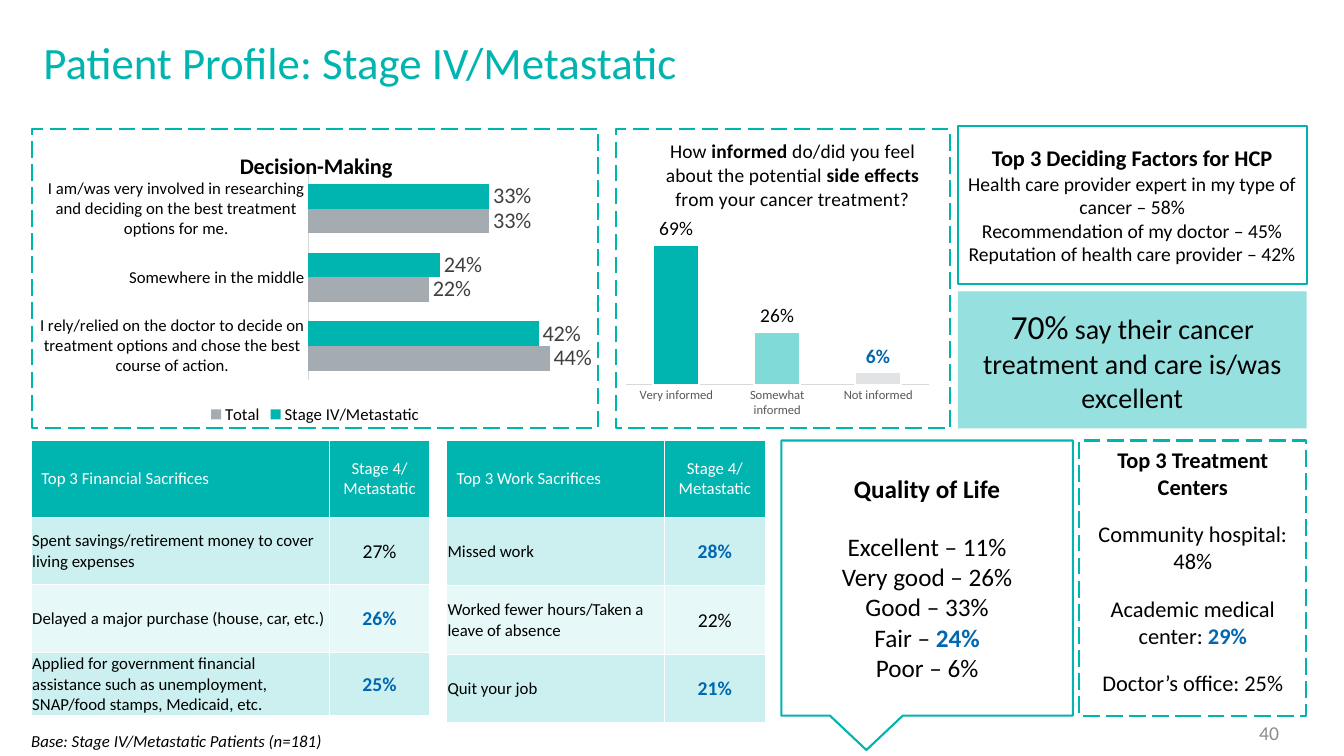
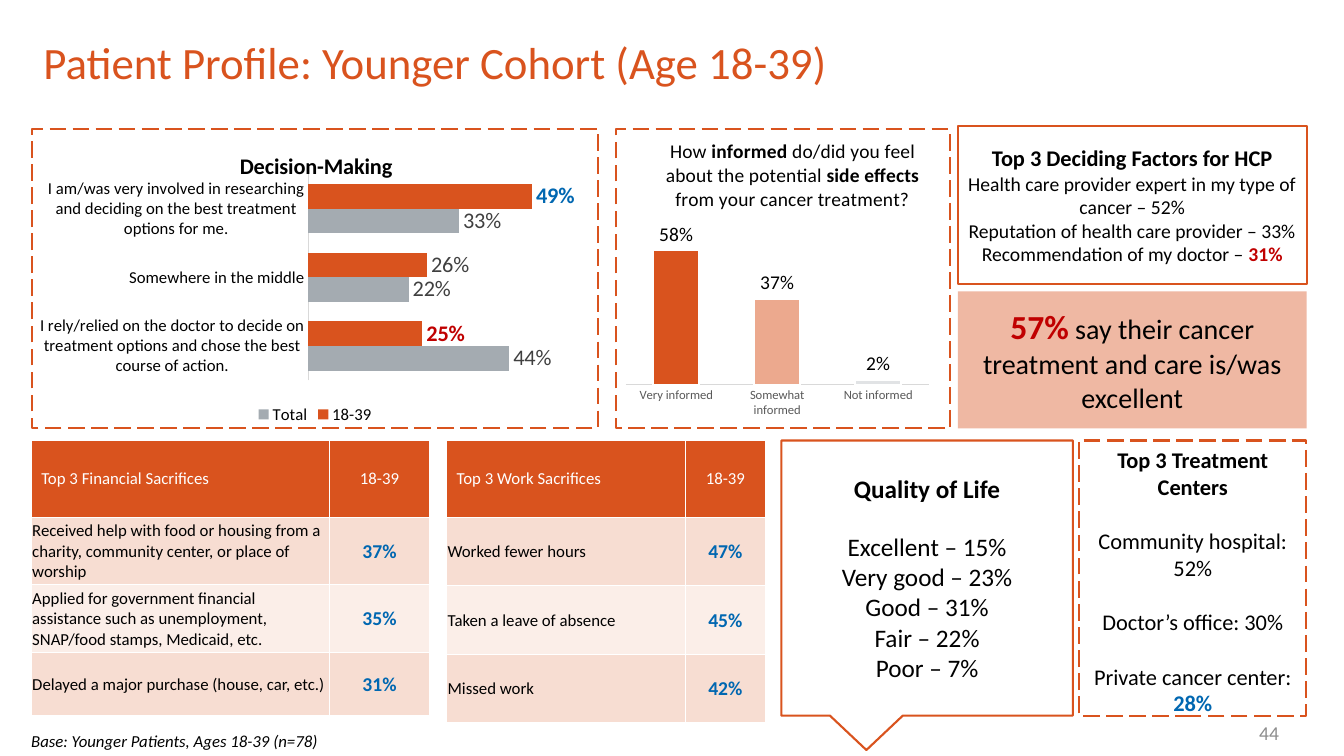
import pptx
import pptx.chart.data
import pptx.dml.color
import pptx.enum.chart
import pptx.enum.dml
import pptx.enum.shapes
import pptx.enum.text
import pptx.oxml
import pptx.oxml.ns
import pptx.util

Inches = pptx.util.Inches
Pt = pptx.util.Pt
RGB = pptx.dml.color.RGBColor
KIND = pptx.enum.chart.XL_CHART_TYPE
SHAPE = pptx.enum.shapes.MSO_SHAPE
ALIGN = pptx.enum.text.PP_ALIGN
ANCHOR = pptx.enum.text.MSO_ANCHOR
qn = pptx.oxml.ns.qn

FONT = "Calibri"
TEAL = RGB(0x00, 0xB4, 0xB0)
RUST = RGB(0xD9, 0x53, 0x1E)
BLUE = RGB(0x00, 0x67, 0xB1)
RED = RGB(0xC0, 0x00, 0x00)
BLACK = RGB(0x00, 0x00, 0x00)
WHITE = RGB(0xFF, 0xFF, 0xFF)
DARK = RGB(0x40, 0x40, 0x40)
SLATE = RGB(0x59, 0x59, 0x59)
MUTED = RGB(0x8C, 0x8C, 0x8C)
STEEL = RGB(0xA4, 0xAB, 0xB1)
RULE = RGB(0xD9, 0xD9, 0xD9)
PALE = RGB(0xE1, 0xE3, 0xE5)

BOLD = {"bold": True}
HIGH = {"bold": True, "color": BLUE}
LOW = {"bold": True, "color": RED}

ROLES = [
    "I am/was very involved in researching and deciding on the best treatment options for me.",
    "Somewhere in the middle",
    "I rely/relied on the doctor to decide on treatment options and chose the best course of action.",
]
LEVELS = ["Very informed", "Somewhat informed", "Not informed"]
ASKED = [["How ", ("informed", BOLD), " do/did you feel about the potential ",
          ("side effects", BOLD), " from your cancer treatment?"]]
TOTAL = [0.33, 0.22, 0.44]
AID = "Applied for government financial assistance such as unemployment, SNAP/food stamps, Medicaid, etc."
DELAY = "Delayed a major purchase (house, car, etc.)"

PAGES = [
    {
        "title": "Patient Profile: Stage IV/Metastatic", "number": "40", "color": TEAL,
        "base": "Base: Stage IV/Metastatic Patients (n=181)",
        "group": "Stage IV/Metastatic", "head": ["Stage 4/", "Metastatic"],
        "roles": [0.33, 0.24, 0.42], "role_marks": {}, "role_max": 0.5,
        "levels": [0.69, 0.26, 0.06], "level_marks": {2: HIGH}, "level_max": 0.8,
        "factors": ["Health care provider expert in my type of cancer – 58%",
                    "Recommendation of my doctor – 45%",
                    "Reputation of health care provider – 42%"],
        "rating": [("70%", {"size": 24}), " say their cancer treatment and care is/was excellent"],
        "money": [("Spent savings/retirement money to cover living expenses", "27%", {}),
                  (DELAY, "26%", HIGH), (AID, "25%", HIGH)],
        "work": [("Missed work", "28%", HIGH),
                 ("Worked fewer hours/Taken a leave of absence", "22%", {}),
                 ("Quit your job", "21%", HIGH)],
        "work_cols": [2.16, 1.0],
        "life": ["Excellent – 11%", "Very good – 26%", "Good – 33%",
                 ["Fair – ", ("24%", HIGH)], "Poor – 6%"],
        "centers": ["Community hospital: 48%",
                    ["Academic medical center: ", ("29%", HIGH)], "Doctor’s office: 25%"],
        "center_gap": 14.6,
    },
    {
        "title": "Patient Profile: Younger Cohort (Age 18-39)", "number": "44", "color": RUST,
        "base": "Base: Younger Patients, Ages 18-39 (n=78)",
        "group": "18-39", "head": ["18-39"],
        "roles": [0.49, 0.26, 0.25], "role_marks": {0: HIGH, 2: LOW}, "role_max": 0.6,
        "levels": [0.58, 0.37, 0.02], "level_marks": {}, "level_max": 0.7,
        "factors": ["Health care provider expert in my type of cancer – 52%",
                    "Reputation of health care provider – 33%",
                    ["Recommendation of my doctor – ", ("31%", LOW)]],
        "rating": [("57%", {**LOW, "size": 24}), " say their cancer treatment and care is/was excellent"],
        "money": [("Received help with food or housing from a charity, community center, or place of worship",
                   "37%", HIGH), (AID, "35%", HIGH), (DELAY, "31%", HIGH)],
        "work": [("Worked fewer hours", "47%", HIGH), ("Taken a leave of absence", "45%", HIGH),
                 ("Missed work", "42%", HIGH)],
        "work_cols": [2.37, 0.79],
        "life": ["Excellent – 15%", "Very good – 23%", "Good – 31%", "Fair – 22%", "Poor – 7%"],
        "centers": ["Community hospital: 52%", "Doctor’s office: 30%",
                    ["Private cancer center: ", ("28%", HIGH)]],
        "center_gap": 19.5,
    },
]


def box(*sides):
    return [Inches(side) for side in sides]


def tint(color, share):
    return RGB(*(round(255 - (255 - part) * share) for part in color))


def tone(font, size=12, color=BLACK, bold=False, italic=False):
    font.name, font.size = FONT, Pt(size)
    font.bold, font.italic = bold, italic
    font.color.rgb = color


def put(frame, paras, align=ALIGN.CENTER, anchor=None, pad=None, gaps=None, lead=None, **look):
    frame.word_wrap = True
    if anchor is not None:
        frame.vertical_anchor = anchor
    if pad is not None:
        frame.margin_left = frame.margin_right = frame.margin_top = frame.margin_bottom = Inches(pad)
    for i, runs in enumerate(paras):
        para = frame.paragraphs[0] if i == 0 else frame.add_paragraph()
        para.alignment = align
        if lead:
            para.line_spacing = lead
        if gaps and i in gaps:
            para.space_before = Pt(gaps[i])
        for part in [runs] if isinstance(runs, str) else runs:
            text, extra = (part, {}) if isinstance(part, str) else part
            run = para.add_run()
            run.text = text
            tone(run.font, **{**look, **extra})


def add_box(slide, kind, place, fill=None, line=None, dash=False):
    shape = slide.shapes.add_shape(kind, *box(*place))
    shape.shadow.inherit = False
    if fill is None:
        shape.fill.background()
    else:
        shape.fill.solid()
        shape.fill.fore_color.rgb = fill
    if line is None:
        shape.line.fill.background()
    else:
        shape.line.color.rgb = line
        shape.line.width = Pt(1.5)
    if dash:
        shape.line.dash_style = pptx.enum.dml.MSO_LINE.LONG_DASH
    return shape.text_frame


def add_text(slide, place, paras, **look):
    put(slide.shapes.add_textbox(*box(*place)).text_frame, paras, **look)


def add_grid(slide, left, cols, rows, name, head, items, color):
    grid = slide.shapes.add_table(len(rows), 2, *box(left, 4.37, sum(cols), sum(rows))).table
    for col, width in zip(grid.columns, cols):
        col.width = Inches(width)
    for row, height in zip(grid.rows, rows):
        row.height = Inches(height)
    lines = [([name], head, {"color": WHITE})]
    lines += [([text], [value], {"size": 14, **mark}) for text, value, mark in items]
    for r, (text, value, look) in enumerate(lines):
        for c, paras in enumerate((text, value)):
            cell = grid.cell(r, c)
            cell.fill.solid()
            cell.fill.fore_color.rgb = tint(color, 0.2 if r % 2 else 0.1) if r else color
            cell.vertical_anchor = ANCHOR.MIDDLE
            if r:
                cell.margin_left = cell.margin_right = cell.margin_top = Inches(0.01)
                cell.margin_bottom = 0
            put(cell.text_frame, paras, align=ALIGN.CENTER if c else ALIGN.LEFT,
                **(look if c or not r else {}))


def set_place(node, index, **sides):
    for old in node.findall(qn("c:layout")):
        node.remove(old)
    modes = {"xMode": "edge", "yMode": "edge", **sides}
    if "w" in sides:
        modes = {"layoutTarget": "inner", **modes}
    inner = "".join(f'<c:{key} val="{value}"/>' for key, value in modes.items())
    node.insert(index, pptx.oxml.parse_xml(
        f'<c:layout {pptx.oxml.ns.nsdecls("c")}><c:manualLayout>{inner}</c:manualLayout></c:layout>'))


def add_graph(slide, kind, place, cats, series, top, color, title, spot, area, label, axis, gap):
    data = pptx.chart.data.CategoryChartData(number_format="0%")
    data.categories = cats
    for name, values, *rest in series:
        data.add_series(name, values)
    chart = slide.shapes.add_chart(kind, *box(*place), data).chart
    tone(chart.font, size=10)
    chart.has_legend = False
    chart.has_title = True
    put(chart.chart_title.text_frame, title, **label["title"])
    set_place(chart.chart_title.element, 1, x=spot[0], y=spot[1])
    set_place(chart.element.find(".//" + qn("c:plotArea")), 0, **dict(zip("xywh", area)))
    chart.element.find(qn("c:chart")).addnext(pptx.oxml.parse_xml(
        f'<c:spPr {pptx.oxml.ns.nsdecls("c", "a")}><a:noFill/><a:ln w="19050"><a:solidFill>'
        f'<a:srgbClr val="{color}"/></a:solidFill><a:prstDash val="lgDash"/></a:ln></c:spPr>'))
    chart.value_axis.visible = False
    chart.value_axis.has_major_gridlines = False
    chart.value_axis.minimum_scale, chart.value_axis.maximum_scale = 0, top
    base = chart.category_axis
    base.major_tick_mark = pptx.enum.chart.XL_TICK_MARK.NONE
    base.format.line.color.rgb = RULE
    base.format.line.width = Pt(0.75)
    tone(base.tick_labels.font, **axis)
    plot = chart.plots[0]
    plot.gap_width, plot.vary_by_categories = gap, False
    outer = pptx.enum.chart.XL_LABEL_POSITION.OUTSIDE_END
    for bars, (name, values, shade, marks) in zip(plot.series, series):
        bars.format.fill.solid()
        bars.format.fill.fore_color.rgb = shade
        tags = bars.data_labels
        tags.show_value, tags.position = True, outer
        tags.number_format, tags.number_format_is_linked = "0%", False
        tone(tags.font, **label["value"])
        for i, mark in marks.items():
            tag = bars.points[i].data_label
            tone(tag.font, **{**label["value"], **mark})
            tag.position = outer
    return chart


def add_roles(slide, page):
    color = page["color"]
    chart = add_graph(
        slide, KIND.BAR_CLUSTERED, (0.31, 1.27, 5.63, 2.99), ROLES,
        [(page["group"], page["roles"], color, page["role_marks"]), ("Total", TOTAL, STEEL, {})],
        page["role_max"], color, ["Decision-Making"], (0.36, 0.06), (0.488, 0.151, 0.485, 0.689),
        {"title": {"size": 16, "bold": True}, "value": {"size": 16, "color": DARK}},
        {"size": 12}, 80)
    chart.category_axis.reverse_order = True
    chart.has_legend = True
    chart.legend.position = pptx.enum.chart.XL_LEGEND_POSITION.BOTTOM
    chart.legend.include_in_layout = False
    tone(chart.legend.font)


def add_levels(slide, page):
    color = page["color"]
    chart = add_graph(
        slide, KIND.COLUMN_CLUSTERED, (6.1, 1.27, 3.33, 2.99), LEVELS,
        [("Series 1", page["levels"], color, page["level_marks"])],
        page["level_max"], color, ASKED, (0.14, 0.02), (0.029, 0.312, 0.908, 0.542),
        {"title": {"size": 14}, "value": {"size": 14}}, {"size": 9, "color": SLATE}, 120)
    plot = chart.plots[0]
    plot.overlap = -25
    for i, shade in enumerate((color, tint(color, 0.5), PALE)):
        look = plot.series[0].points[i].format
        look.fill.solid()
        look.fill.fore_color.rgb = shade
        look.line.color.rgb = WHITE
        look.line.width = Pt(1.5)


def add_page(deck, page):
    slide = deck.slides.add_slide(deck.slide_layouts[5])
    color = page["color"]
    title = slide.shapes.title
    title.left, title.top, title.width, title.height = box(0.33, 0.22, 11.21, 0.85)
    put(title.text_frame, [page["title"]], align=ALIGN.LEFT, anchor=ANCHOR.MIDDLE,
        lead=0.9, size=32, color=color)
    add_text(slide, (12.39, 7.1, 0.63, 0.14), [page["number"]], align=ALIGN.LEFT, size=14, color=MUTED)
    add_text(slide, (0.31, 7.25, 3.06, 0.2), [page["base"]], align=ALIGN.LEFT, pad=0, italic=True)

    add_roles(slide, page)
    add_levels(slide, page)
    factors = add_box(slide, SHAPE.RECTANGLE, (9.5, 1.25, 3.46, 1.57), WHITE, color)
    put(factors, [[("Top 3 Deciding Factors for HCP", {"size": 16, "bold": True})]] + page["factors"],
        anchor=ANCHOR.MIDDLE, size=14)
    rating = add_box(slide, SHAPE.RECTANGLE, (9.5, 2.89, 3.46, 1.36), tint(color, 0.41))
    put(rating, [page["rating"]], anchor=ANCHOR.MIDDLE, size=20)

    add_grid(slide, 0.31, [2.96, 0.99], [0.76, 0.67, 0.67, 0.63],
             "Top 3 Financial Sacrifices", page["head"], page["money"], color)
    add_grid(slide, 4.43, page["work_cols"], [0.76, 0.68, 0.68, 0.68],
             "Top 3 Work Sacrifices", page["head"], page["work"], color)
    life = add_box(slide, SHAPE.RECTANGULAR_CALLOUT, (7.75, 4.37, 2.89, 2.73), WHITE, color)
    put(life, [[("Quality of Life", BOLD)]] + page["life"],
        anchor=ANCHOR.MIDDLE, gaps={1: 19.5}, size=18)
    add_box(slide, SHAPE.RECTANGLE, (10.7, 4.37, 2.25, 2.73), line=color, dash=True)
    add_text(slide, (10.64, 4.38, 2.38, 2.73),
             [[("Top 3 Treatment Centers", BOLD)]] + page["centers"],
             gaps=dict.fromkeys((1, 2, 3), page["center_gap"]), size=16)


def main():
    deck = pptx.Presentation()
    deck.slide_width, deck.slide_height = box(13.33, 7.5)
    for page in PAGES:
        add_page(deck, page)
    deck.save("out.pptx")


if __name__ == "__main__":
    main()
